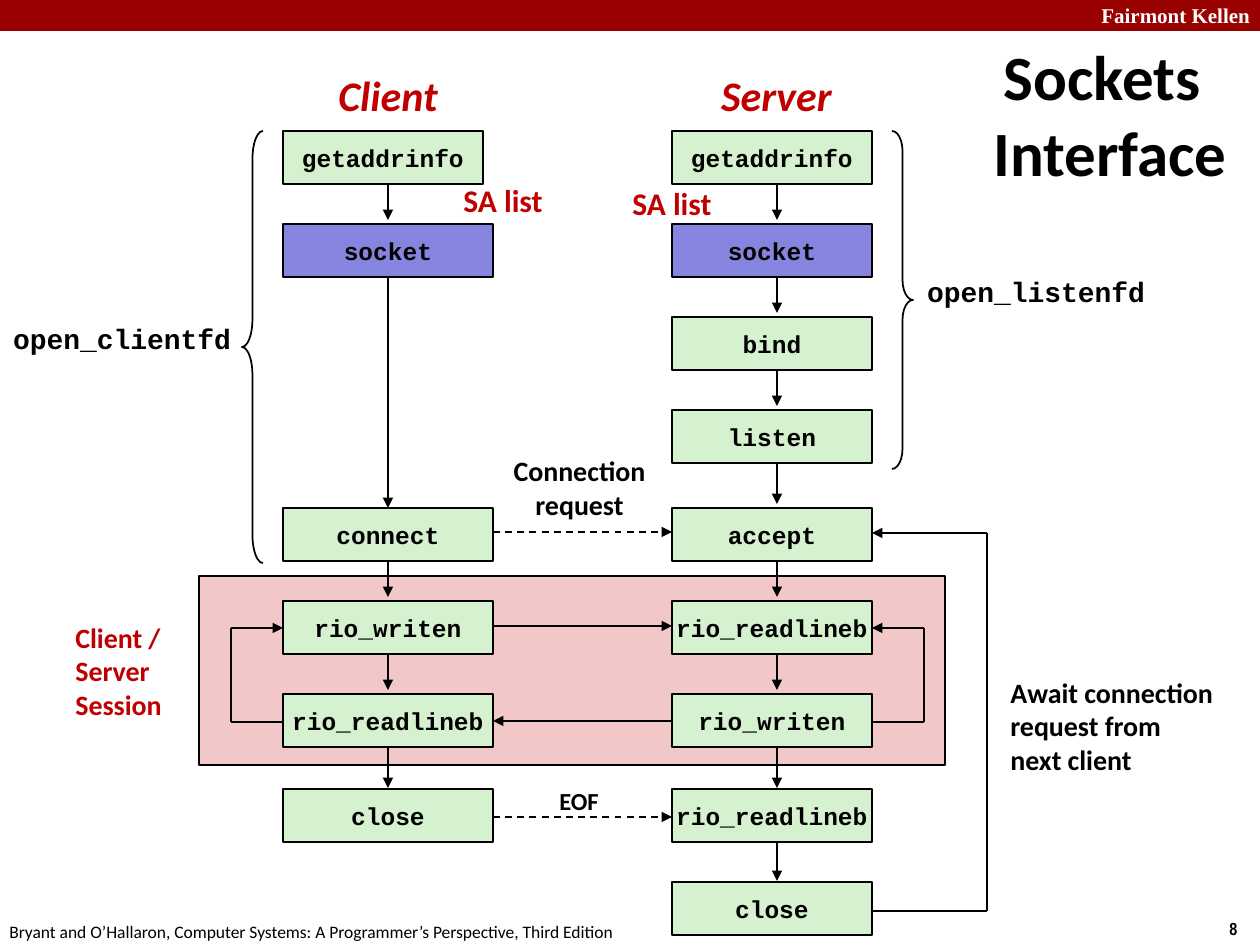
from dataclasses import dataclass
from itertools import pairwise

from lxml.etree import SubElement
from pptx import Presentation
from pptx.dml.color import RGBColor
from pptx.enum.dml import MSO_LINE
from pptx.enum.shapes import MSO_CONNECTOR, MSO_SHAPE
from pptx.enum.text import MSO_ANCHOR, MSO_AUTO_SIZE, PP_ALIGN
from pptx.oxml.ns import qn
from pptx.util import Emu, Pt


@dataclass(frozen=True)
class Theme:
    """Colours, fonts and type sizes of the slide."""

    ink: str = "000000"
    paper: str = "FFFFFF"
    banner: str = "990000"
    accent: str = "C00000"
    call: str = "D5F1CF"
    socket: str = "8585E0"
    session: str = "F1C7C7"
    sans: str = "Calibri"
    mono: str = "Courier New"
    serif: str = "Times New Roman"
    narrow: str = "Arial Narrow"
    title: int = 36
    heading: int = 24
    list_note: int = 18
    note: int = 16
    code: int = 14
    banner_size: int = 12
    footer: int = 10


THEME = Theme()
BOX_HEIGHT = 53
ROW_PITCH = 93
CLIENT_LEFT, CLIENT_WIDTH, CLIENT_AXIS = 283, 210, 388
SERVER_LEFT, SERVER_WIDTH, SERVER_AXIS = 672, 200, 777
CLIENT_RIGHT = CLIENT_LEFT + CLIENT_WIDTH
SERVER_RIGHT = SERVER_LEFT + SERVER_WIDTH
ROW_TOPS = [
    top + ROW_PITCH * step
    for top, count in ((131, 4), (508, 3), (789, 2))
    for step in range(count)
]
CLIENT_CALLS = {0: "getaddrinfo", 1: "socket", 4: "connect",
                5: "rio_writen", 6: "rio_readlineb", 7: "close"}
SERVER_CALLS = dict(enumerate((
    "getaddrinfo", "socket", "bind", "listen", "accept",
    "rio_readlineb", "rio_writen", "rio_readlineb", "close")))


def px(length):
    """Turn whole pixels into EMU."""
    return Emu(round(length * 914400 / 126))


def write(frame, text, *, size=THEME.note, font=THEME.sans, color=THEME.ink, bold=True,
          italic=False, align=PP_ALIGN.LEFT, wrap=False, hanging=0):
    """Fill a text frame, one paragraph for each line of text."""
    frame.word_wrap = wrap
    frame.vertical_anchor = MSO_ANCHOR.MIDDLE
    for index, line in enumerate(text.split("\n")):
        paragraph = frame.add_paragraph() if index else frame.paragraphs[0]
        paragraph.alignment = align
        if hanging:
            properties = paragraph._p.get_or_add_pPr()
            properties.set("marL", str(px(hanging)))
            properties.set("indent", str(-px(hanging)))
        run = paragraph.add_run()
        run.text = line
        run.font.size = Pt(size)
        run.font.name = font
        run.font.bold = bold
        run.font.italic = italic
        run.font.color.rgb = RGBColor.from_string(color)


def add_label(slide, text, bounds, grow=True, **style):
    """Place free text within left, top, width and height."""
    label = slide.shapes.add_textbox(*map(px, bounds))
    write(label.text_frame, text, **style)
    label.text_frame.auto_size = MSO_AUTO_SIZE.SHAPE_TO_FIT_TEXT if grow else MSO_AUTO_SIZE.NONE


def add_panel(slide, bounds, fill=None, kind=MSO_SHAPE.RECTANGLE, outlined=True):
    """Draw a preset shape with an optional fill and outline."""
    panel = slide.shapes.add_shape(kind, *map(px, bounds))
    panel.shadow.inherit = False
    if fill:
        panel.fill.solid()
        panel.fill.fore_color.rgb = RGBColor.from_string(fill)
    else:
        panel.fill.background()
    if outlined:
        panel.line.color.rgb = RGBColor.from_string(THEME.ink)
        panel.line.width = Pt(1)
    else:
        panel.line.fill.background()
    return panel


def add_brace(slide, kind, bounds, curl):
    """Draw a brace around the calls that a helper wraps."""
    brace = add_panel(slide, bounds, kind=kind)
    brace.adjustments[0] = curl
    brace.adjustments[1] = 0.5


def add_route(slide, *points, dashed=False):
    """Join points with straight lines and put an arrowhead at the last one."""
    for start, end in pairwise(points):
        segment = slide.shapes.add_connector(MSO_CONNECTOR.STRAIGHT, *map(px, start + end))
        segment.line.color.rgb = RGBColor.from_string(THEME.ink)
        segment.line.width = Pt(1)
        if dashed:
            segment.line.dash_style = MSO_LINE.DASH
        if end == points[-1]:
            SubElement(segment.line._get_or_add_ln(), qn("a:tailEnd"), type="triangle")
        SubElement(segment._element.spPr, qn("a:effectLst"))


def add_calls(slide, calls, left, width, axis):
    """Draw one side's column of calls and the arrows between them."""
    for row, following in pairwise(calls):
        gap = 1 if following >= 7 else 4 if following == row + 1 else 0
        add_route(slide, (axis, ROW_TOPS[row] + BOX_HEIGHT), (axis, ROW_TOPS[following] - gap))
    for row, name in calls.items():
        box_width = SERVER_WIDTH if row == 0 else width
        fill = THEME.socket if name == "socket" else THEME.call
        call = add_panel(slide, (left, ROW_TOPS[row], box_width, BOX_HEIGHT), fill)
        write(call.text_frame, name, size=THEME.code, font=THEME.mono, align=PP_ALIGN.CENTER)


def add_frame(slide):
    """Add the banner, title, page number and footer."""
    add_panel(slide, (0, 0, 1260, 31), THEME.banner, outlined=False)
    add_label(slide, "Fairmont Kellen", (1089, -4, 180, 38), size=THEME.banner_size,
              font=THEME.serif, color=THEME.paper)
    add_label(slide, "8", (1217, 911, 43, 34), size=THEME.footer, font=THEME.narrow)
    add_label(slide, "Bryant and O’Hallaron, Computer Systems: A Programmer’s Perspective, "
              "Third Edition", (-3, 914, 640, 34), size=THEME.footer, bold=False)
    add_label(slide, "Sockets Interface", (955, 31, 294, 165), grow=False, size=THEME.title,
              align=PP_ALIGN.CENTER, wrap=True, hanging=16)


def add_exchange(slide):
    """Draw the messages between both sides and the loops on each side."""
    add_route(slide, (CLIENT_RIGHT, 532), (SERVER_LEFT, 532), dashed=True)
    add_route(slide, (CLIENT_RIGHT, 626), (SERVER_LEFT, 626))
    add_route(slide, (SERVER_LEFT, 721), (CLIENT_RIGHT, 721))
    add_route(slide, (CLIENT_RIGHT, 817), (SERVER_LEFT, 817), dashed=True)
    for edge, turn, bottom, top in ((CLIENT_LEFT, 231, 722, 628),
                                    (SERVER_RIGHT, 924, 722, 628),
                                    (SERVER_RIGHT, 987, 911, 533)):
        add_route(slide, (edge, bottom), (turn, bottom), (turn, top), (edge, top))


def add_notes_on_flow(slide):
    """Add the headings, helper names and remarks around the columns."""
    for side, bounds in (("Client", (325, 63, 126, 63)), ("Server", (708, 63, 137, 63))):
        add_label(slide, side, bounds, size=THEME.heading, color=THEME.accent,
                  italic=True, align=PP_ALIGN.CENTER)
    for bounds in ((451, 175, 106, 50), (620, 178, 106, 50)):
        add_label(slide, "SA list", bounds, size=THEME.list_note, color=THEME.accent)
    for helper, bounds in (("open_clientfd", (0, 315, 244, 47)),
                           ("open_listenfd", (914, 268, 244, 47))):
        add_label(slide, helper, bounds, font=THEME.mono, align=PP_ALIGN.CENTER)
    add_label(slide, "Client / Server\nSession", (63, 614, 116, 113), color=THEME.accent,
              wrap=True)
    add_label(slide, "Connection\nrequest", (500, 447, 159, 81), align=PP_ALIGN.CENTER)
    add_label(slide, "EOF", (546, 779, 66, 43), size=THEME.code, align=PP_ALIGN.CENTER)
    add_label(slide, "Await connection\nrequest from\nnext client", (998, 668, 231, 115))


def main():
    """Build the sockets interface slide."""
    deck = Presentation()
    deck.slide_width, deck.slide_height = px(1260), px(945)
    slide = deck.slides.add_slide(deck.slide_layouts[6])
    add_frame(slide)
    add_panel(slide, (199, 576, 746, 189), THEME.session)
    add_calls(slide, CLIENT_CALLS, CLIENT_LEFT, CLIENT_WIDTH, CLIENT_AXIS)
    add_calls(slide, SERVER_CALLS, SERVER_LEFT, SERVER_WIDTH, SERVER_AXIS)
    add_exchange(slide)
    add_brace(slide, MSO_SHAPE.LEFT_BRACE, (242, 131, 21, 432), 1.33)
    add_brace(slide, MSO_SHAPE.RIGHT_BRACE, (892, 131, 21, 338), 0.96)
    add_notes_on_flow(slide)
    deck.save("out.pptx")


if __name__ == "__main__":
    main()
